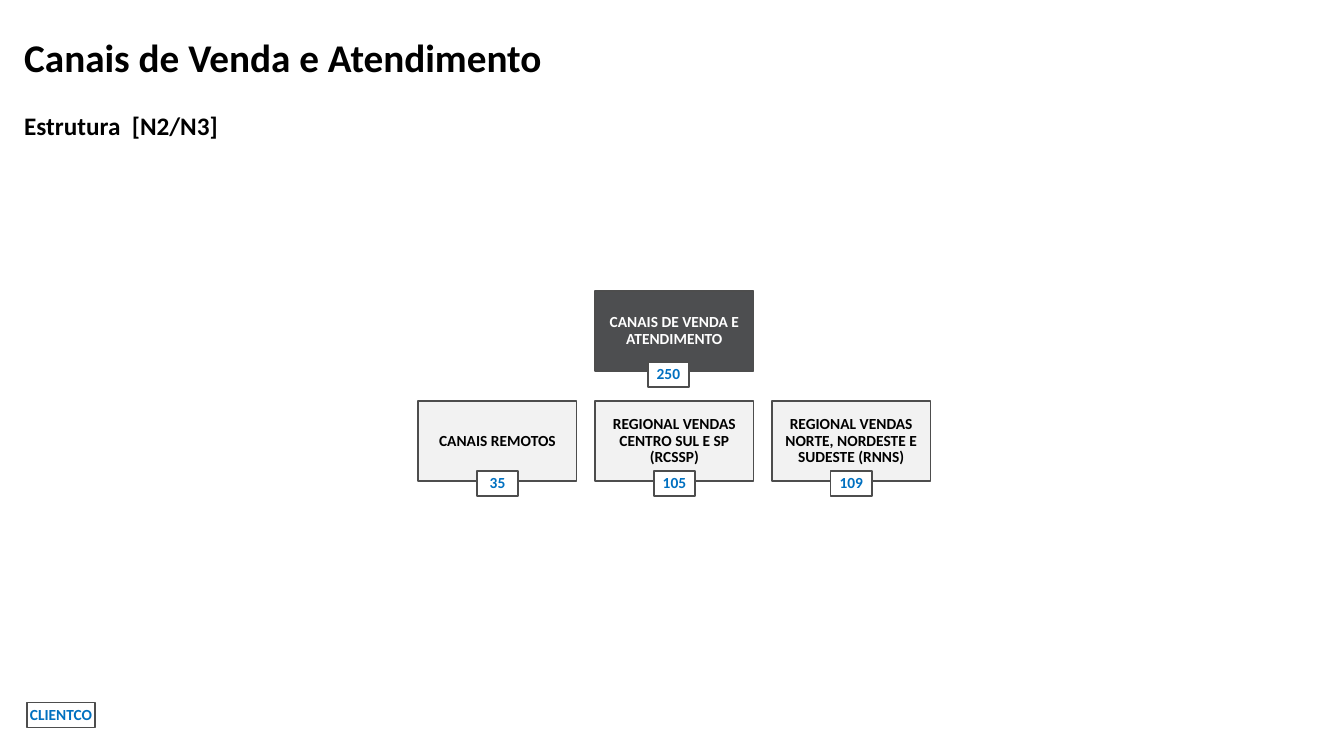
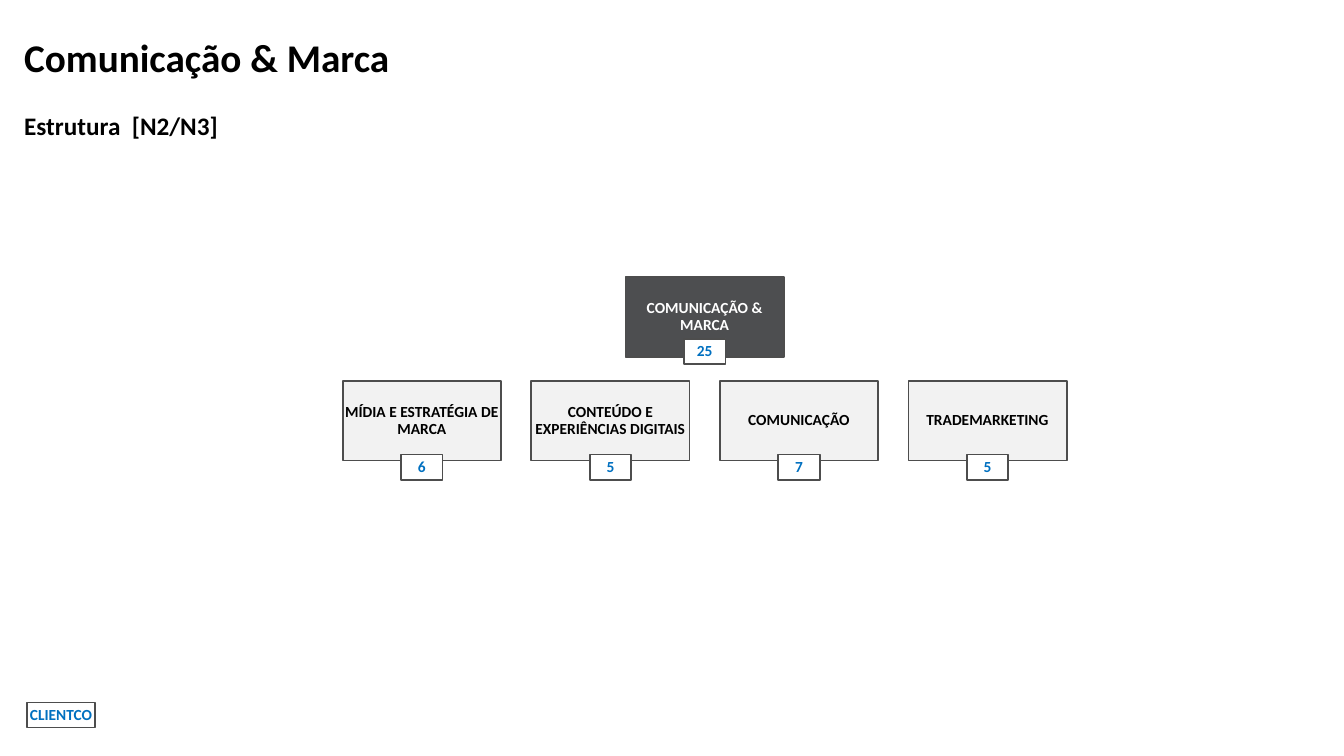
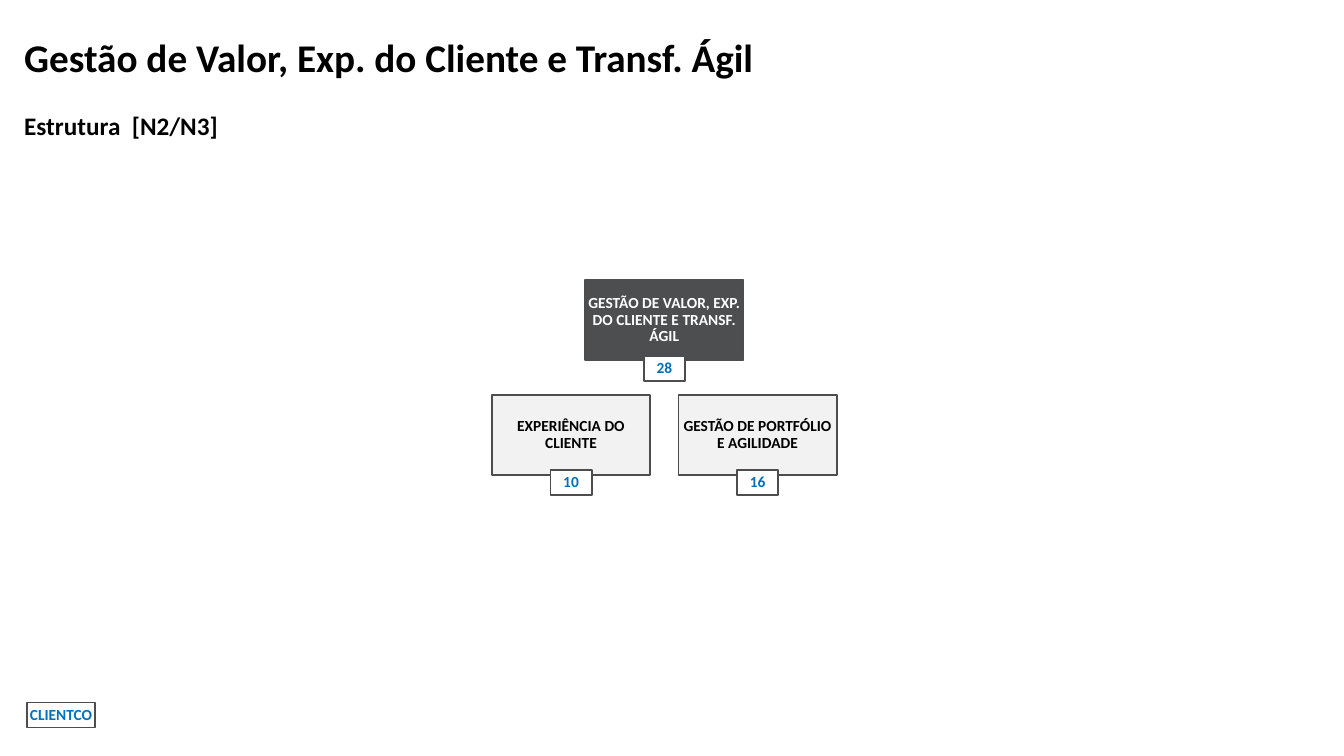
"""Builds three organisation slides, each a head unit above a row of its areas."""
from dataclasses import dataclass

from pptx import Presentation
from pptx.dml.color import RGBColor
from pptx.enum.shapes import MSO_SHAPE
from pptx.enum.text import MSO_ANCHOR, MSO_AUTO_SIZE, PP_ALIGN
from pptx.util import Inches, Pt

SLIDE_W, SLIDE_H = Inches(13.33), Inches(7.5)
FONT = "Calibri"
COLORS = {
    "text": "000000",
    "white": "FFFFFF",
    "head": "4D4E50",
    "area": "F2F2F2",
    "border": "4D4D4D",
    "count": "0070C0",
}
SUBTITLE = "Estrutura  [N2/N3]"
TITLE_SIZES = (28, 18)
UNIT_W, UNIT_H = 11.78, 10.53
BADGE_W, BADGE_H = 3.08, 3.33


@dataclass(frozen=True)
class Box:
    left: float
    top: float
    width: float
    height: float

    def emu(self) -> tuple[int, int, int, int]:
        return (
            int(SLIDE_W * self.left / 100),
            int(SLIDE_H * self.top / 100),
            int(SLIDE_W * self.width / 100),
            int(SLIDE_H * self.height / 100),
        )


@dataclass(frozen=True)
class Unit:
    name: str
    count: int


@dataclass(frozen=True)
class Level:
    top: float
    badge_top: float
    badge_shift: float = 0


@dataclass(frozen=True)
class OrgSlide:
    title: str
    head: Unit
    areas: tuple[Unit, ...]
    left: float
    pitch: float
    head_level: Level
    area_level: Level


TITLE_BOX = Box(1.05, -2.53, 85.65, 22)
CLIENT_BOX = Box(2.03, 92.93, 5.03, BADGE_H)

ORG_SLIDES = (
    OrgSlide(
        "Canais de Venda e Atendimento",
        Unit("CANAIS DE VENDA E ATENDIMENTO", 250),
        (
            Unit("CANAIS REMOTOS", 35),
            Unit("REGIONAL VENDAS CENTRO SUL E SP (RCSSP)", 105),
            Unit("REGIONAL VENDAS NORTE, NORDESTE E SUDESTE (RNNS)", 109),
        ),
        31.13, 13.16, Level(38.53, 47.87, -0.45), Level(53.07, 62.27),
    ),
    OrgSlide(
        "Comunicação & Marca",
        Unit("COMUNICAÇÃO & MARCA", 25),
        (
            Unit("MÍDIA E ESTRATÉGIA DE MARCA", 6),
            Unit("CONTEÚDO E EXPERIÊNCIAS DIGITAIS", 5),
            Unit("COMUNICAÇÃO", 7),
            Unit("TRADEMARKETING", 5),
        ),
        25.5, 14.03, Level(36.67, 44.8), Level(50.4, 60.13),
    ),
    OrgSlide(
        "Gestão de Valor, Exp. do Cliente e Transf. Ágil",
        Unit("GESTÃO DE VALOR, EXP. DO CLIENTE E TRANSF. ÁGIL", 28),
        (
            Unit("EXPERIÊNCIA DO CLIENTE", 10),
            Unit("GESTÃO DE PORTFÓLIO E AGILIDADE", 16),
        ),
        36.6, 13.88, Level(37.07, 47.07), Level(52.27, 62.13),
    ),
)


def rgb(name: str) -> RGBColor:
    return RGBColor.from_string(COLORS[name])


def format_run(r, size: float, color: str) -> None:
    r.font.name = FONT
    r.font.size = Pt(size)
    r.font.bold = True
    r.font.color.rgb = rgb(color)


def add_title(s, title: str) -> None:
    sp = s.shapes.title
    sp.left, sp.top, sp.width, sp.height = TITLE_BOX.emu()
    tf = sp.text_frame
    tf.text = f"{title}\n{SUBTITLE}"
    tf.word_wrap = True
    tf.auto_size = MSO_AUTO_SIZE.SHAPE_TO_FIT_TEXT
    tf.vertical_anchor = MSO_ANCHOR.TOP
    for p, size in zip(tf.paragraphs, TITLE_SIZES):
        p.alignment = PP_ALIGN.LEFT
        p.line_spacing = 2.0
        format_run(p.runs[0], size, "text")


def add_box(s, box: Box, text: str, fill: str, color: str) -> None:
    sp = s.shapes.add_shape(MSO_SHAPE.RECTANGLE, *box.emu())
    sp.shadow.inherit = False
    sp.fill.solid()
    sp.fill.fore_color.rgb = rgb(fill)
    sp.line.color.rgb = rgb("border")
    sp.line.width = Pt(1.25)
    tf = sp.text_frame
    tf.text = text
    tf.word_wrap = True
    tf.vertical_anchor = MSO_ANCHOR.MIDDLE
    tf.margin_left = tf.margin_top = tf.margin_right = tf.margin_bottom = 0
    p = tf.paragraphs[0]
    p.alignment = PP_ALIGN.CENTER
    p.line_spacing = 0.9
    format_run(p.runs[0], 11, color)


def add_unit(s, unit: Unit, left: float, level: Level, fill: str, color: str) -> None:
    add_box(s, Box(left, level.top, UNIT_W, UNIT_H), unit.name, fill, color)
    badge_left = left + (UNIT_W - BADGE_W) / 2 + level.badge_shift
    badge = Box(badge_left, level.badge_top, BADGE_W, BADGE_H)
    add_box(s, badge, str(unit.count), "white", "count")


def add_org_slide(prs, org: OrgSlide) -> None:
    s = prs.slides.add_slide(prs.slide_layouts.get_by_name("Title Only"))
    add_title(s, org.title)
    head_left = org.left + org.pitch * (len(org.areas) - 1) / 2
    add_unit(s, org.head, head_left, org.head_level, "head", "white")
    for i, area in enumerate(org.areas):
        add_unit(s, area, org.left + i * org.pitch, org.area_level, "area", "text")
    add_box(s, CLIENT_BOX, "CLIENTCO", "white", "count")


def main() -> None:
    prs = Presentation()
    prs.slide_width, prs.slide_height = SLIDE_W, SLIDE_H
    for org in ORG_SLIDES:
        add_org_slide(prs, org)
    prs.save("out.pptx")


if __name__ == "__main__":
    main()
